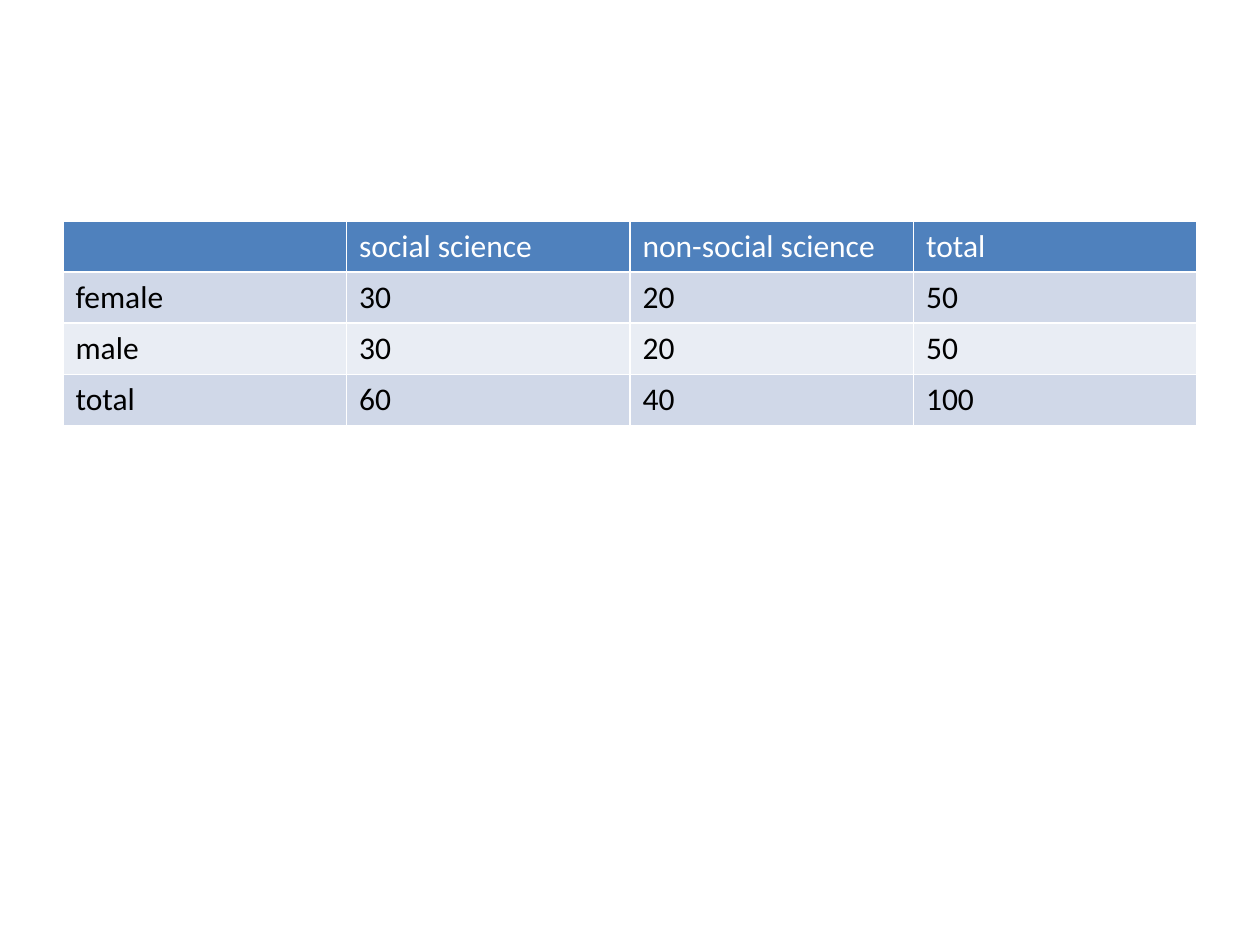
from pptx import Presentation
from pptx.dml.color import RGBColor
from pptx.util import Emu, Pt
from lxml.etree import SubElement
from pptx.oxml.ns import qn

# Content
ROWS = [
    ("", "social science", "non-social science", "total"),
    ("female", "30", "20", "50"),
    ("male", "30", "20", "50"),
    ("total", "60", "40", "100"),
]

# Layout in pixels, 126 to the inch
PX = 914400 / 126
SLIDE_W, SLIDE_H = 1260, 945
LEFT, TOP, WIDTH, ROW_H = 63, 221, 1134, 51

WHITE = RGBColor(0xFF, 0xFF, 0xFF)
BLACK = RGBColor(0, 0, 0)
HEADER = RGBColor(0x4F, 0x81, 0xBD)
BANDS = [RGBColor(0xD0, 0xD8, 0xE8), RGBColor(0xE9, 0xED, 0xF4)]


def px(n):
    return Emu(round(n * PX))


def write_text(cell, text, size=18, font="Calibri", color=BLACK, bold=False):
    p = cell.text_frame.paragraphs[0]
    p.font.size = Pt(size)
    if text:
        r = p.add_run()
        r.text = text
        r.font.size, r.font.name, r.font.bold = Pt(size), font, bold
        r.font.color.rgb = color


def add_borders(cell, color=WHITE, width=1):
    # Border lines must come before the fill in the cell properties
    tc_pr = cell._tc.get_or_add_tcPr()
    for i, side in enumerate(("lnL", "lnR", "lnT", "lnB")):
        ln = SubElement(tc_pr, qn(f"a:{side}"), w=str(Pt(width)))
        fill = SubElement(ln, qn("a:solidFill"))
        SubElement(fill, qn("a:srgbClr"), val=str(color))
        tc_pr.insert(i, ln)


prs = Presentation()
prs.slide_width, prs.slide_height = px(SLIDE_W), px(SLIDE_H)
s = prs.slides.add_slide(prs.slide_layouts[6])

# Table
n_rows, n_cols = len(ROWS), len(ROWS[0])
table = s.shapes.add_table(n_rows, n_cols, px(LEFT), px(TOP),
                           px(WIDTH), px(n_rows * ROW_H)).table
for col in table.columns:
    col.width = px(WIDTH / n_cols)
for i, row in enumerate(ROWS):
    table.rows[i].height = px(ROW_H)
    for j, text in enumerate(row):
        cell = table.cell(i, j)
        cell.fill.solid()
        cell.fill.fore_color.rgb = BANDS[(i - 1) % 2] if i else HEADER
        add_borders(cell)
        write_text(cell, text, color=BLACK if i else WHITE)

prs.save("out.pptx")
